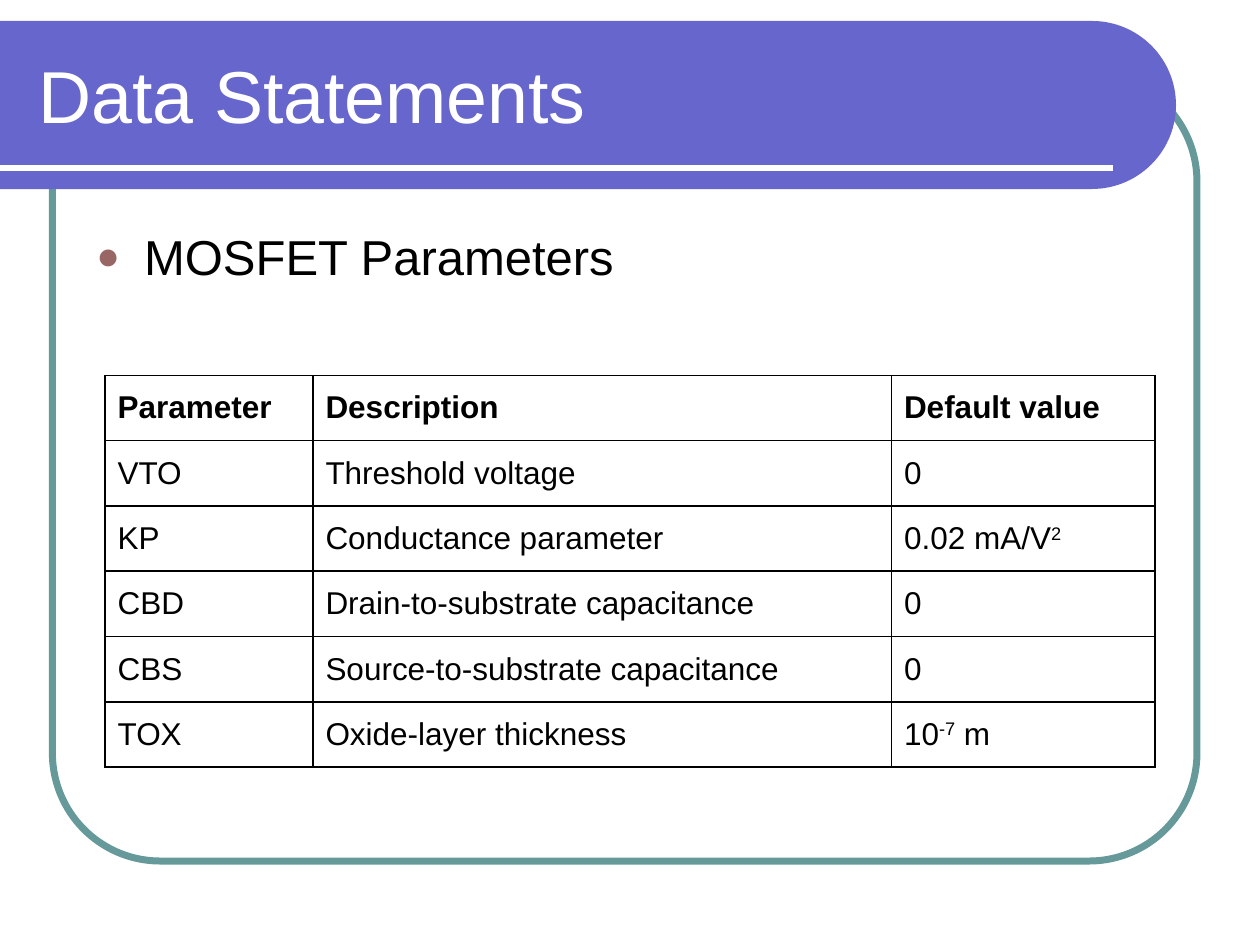
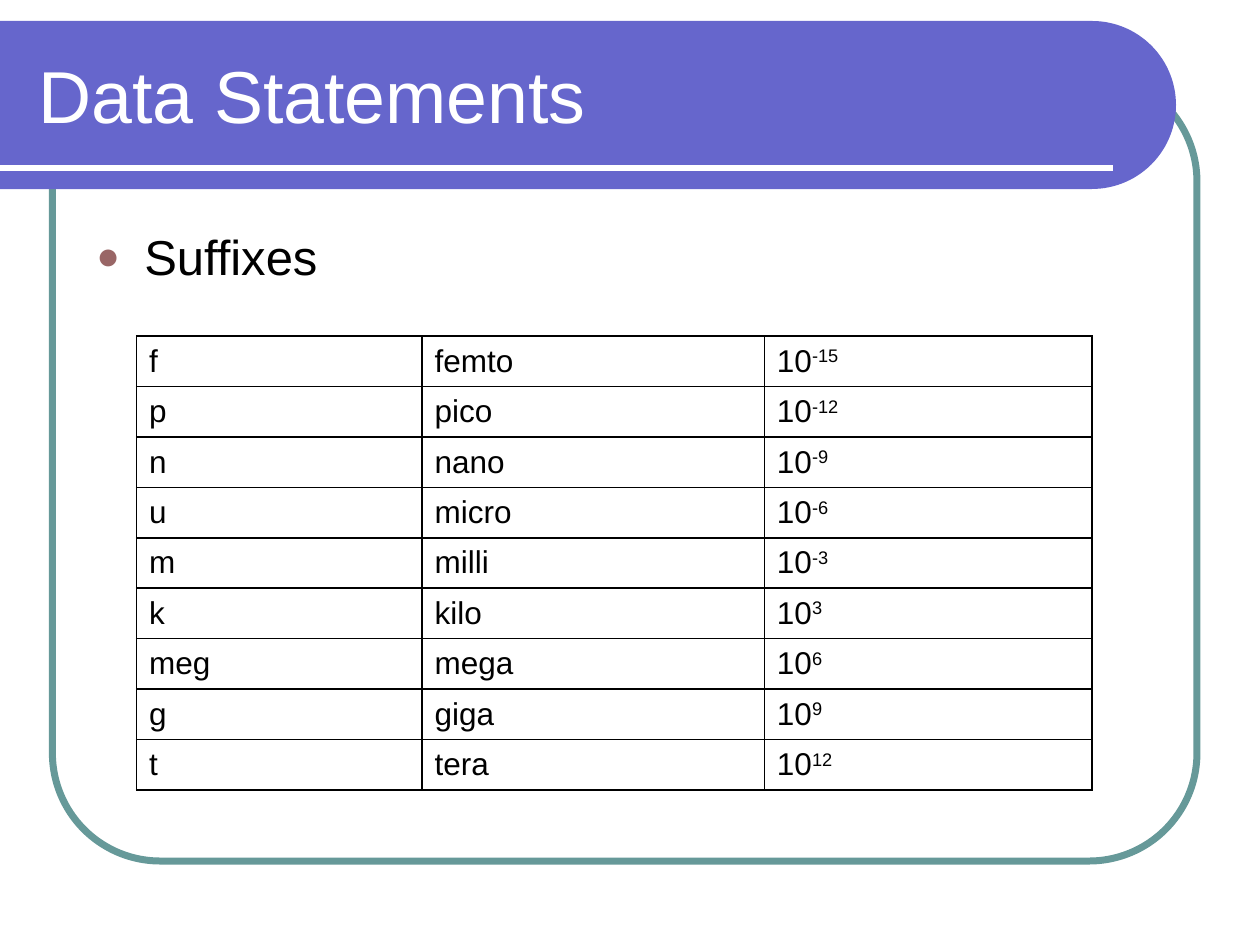
"""Build two slides of data statement tables on a shared banded frame."""
import math
from lxml import etree
from pptx import Presentation, util as u
from pptx.dml.color import RGBColor
from pptx.enum import shapes, text
from pptx.oxml import ns

INK = {"band": "6666CC", "frame": "669999", "dot": "996666",
       "white": "FFFFFF", "black": "000000"}
COLS, ROWS = 120, 90
HEAD = {"size": u.Pt(42), "name": "Arial"}
BODY = {"size": u.Pt(28), "name": "Arial"}
CELL = {"size": u.Pt(18), "name": "Arial", "bold": False}


def add(parent, tag, **attrs):
    """Append a drawing element and return it."""
    return etree.SubElement(parent, ns.qn("a:" + tag), attrs)


class Deck:
    """Hold the style and the current slide."""

    def __init__(self):
        """Open an empty deck on a 120 by 90 grid."""
        self.prs = Presentation()
        self.prs.slide_width, self.prs.slide_height = u.Inches(10), u.Inches(7.5)
        self.slide = None

    def x(self, col):
        """Turn columns into a length."""
        return u.Emu(round(self.prs.slide_width * col / COLS))

    def y(self, row):
        """Turn rows into a length."""
        return u.Emu(round(self.prs.slide_height * row / ROWS))

    def box(self, col, row, wide, high):
        """Turn a grid box into lengths."""
        return self.x(col), self.y(row), self.x(wide), self.y(high)

    def rgb(self, name):
        """Look up a colour."""
        return RGBColor.from_string(INK[name])

    def page(self, title):
        """Start a slide with frame, band, rule and title."""
        self.slide = self.prs.slides.add_slide(self.prs.slide_layouts[6])
        self.frame(5, 7, 109, 75)
        self.band(2, 104, 8)
        self.rule(106, 16)
        self.label(title, (2.5, 3, 105.25, 12), HEAD, "white",
                   text.MSO_ANCHOR.MIDDLE)

    def frame(self, *area):
        """Draw the rounded outline."""
        form = self.slide.shapes.add_shape(
            shapes.MSO_SHAPE.ROUNDED_RECTANGLE, *self.box(*area))
        form.adjustments[0] = 0.137
        form.shadow.inherit = False
        form.fill.background()
        form.line.color.rgb, form.line.width = self.rgb("frame"), u.Pt(4)

    def band(self, top, end, rad):
        """Draw the title band with its round right end."""
        turns = [math.pi * (i / 60 - 0.5) for i in range(61)]
        arc = [(self.x(end + rad * math.cos(t)),
                self.y(top + rad + rad * math.sin(t))) for t in turns]
        pen = self.slide.shapes.build_freeform(0, self.y(top))
        pen.add_line_segments(arc + [(0, self.y(top + 2 * rad))], close=True)
        form = pen.convert_to_shape()
        form.shadow.inherit = False
        form.fill.solid()
        form.fill.fore_color.rgb = self.rgb("band")
        form.line.fill.background()

    def rule(self, end, row):
        """Draw the white line on the band."""
        line = self.slide.shapes.add_connector(
            shapes.MSO_CONNECTOR.STRAIGHT, 0, self.y(row), self.x(end), self.y(row))
        line.line.color.rgb, line.line.width = self.rgb("white"), u.Pt(3)
        add(line._element.spPr, "effectLst")

    def put(self, para, words, style, ink):
        """Fill a paragraph, raising what stands between carets."""
        for i, part in enumerate(words.split("^")):
            if not part:
                continue
            run = para.add_run()
            run.text = part
            for key, val in style.items():
                setattr(run.font, key, val)
            run.font.color.rgb = self.rgb(ink)
            if i % 2:
                run._r.get_or_add_rPr().set("baseline", "30000")

    def hang(self, para):
        """Give a paragraph a hanging indent."""
        props = para._p.get_or_add_pPr()
        props.set("marL", str(u.Inches(0.38)))
        props.set("indent", str(-u.Inches(0.38)))
        return props

    def label(self, words, area, style, ink, anchor=text.MSO_ANCHOR.TOP):
        """Place a text box and return its paragraph."""
        frame = self.slide.shapes.add_textbox(*self.box(*area)).text_frame
        frame.word_wrap, frame.vertical_anchor = True, anchor
        para = frame.paragraphs[0]
        self.put(para, words, style, ink)
        return para

    def point(self, words, wide):
        """Place a bulleted heading."""
        para = self.label(words, (8, 21, wide, 58), BODY, "black")
        para.space_before = u.Pt(3)
        props = self.hang(para)
        add(add(props, "buClr"), "srgbClr", val=INK["dot"])
        add(props, "buSzPct", val="80000")
        add(props, "buFont", typeface="Arial")
        add(props, "buChar", char="●")

    def edge(self, cell):
        """Draw the four borders of a cell."""
        props = cell._tc.get_or_add_tcPr()
        for side in "LRTB":
            line = add(props, "ln" + side, w=str(u.Pt(1)))
            add(add(line, "solidFill"), "srgbClr", val=INK["black"])

    def table(self, col, row, wides, high, data, head=False):
        """Place a ruled table with equal rows."""
        area = self.box(col, row, sum(wides), high * len(data))
        grid = self.slide.shapes.add_table(len(data), len(wides), *area).table
        grid.first_row, grid.horz_banding = head, False
        for part, wide in zip(grid.columns, wides):
            part.width = self.x(wide)
        for r, line in enumerate(data):
            grid.rows[r].height = self.y(high)
            for c, words in enumerate(line):
                cell = grid.cell(r, c)
                cell.vertical_anchor = text.MSO_ANCHOR.MIDDLE
                self.edge(cell)
                cell.fill.background()
                para = cell.text_frame.paragraphs[0]
                self.hang(para)
                self.put(para, words, {**CELL, "bold": head and r == 0}, "black")


def main():
    """Build and save both slides."""
    deck = Deck()
    deck.page("Data Statements")
    deck.point("MOSFET Parameters", 103)
    deck.table(10, 35.75, (19.8, 55.1, 25.1), 6.22, [
        ("Parameter", "Description", "Default value"),
        ("VTO", "Threshold voltage", "0"),
        ("KP", "Conductance parameter", "0.02 mA/V^2^"),
        ("CBD", "Drain-to-substrate capacitance", "0"),
        ("CBS", "Source-to-substrate capacitance", "0"),
        ("TOX", "Oxide-layer thickness", "10^-7^ m"),
    ], head=True)

    deck.page("Data Statements")
    deck.point("Suffixes", 51)
    scale = [("f", "femto", -15), ("p", "pico", -12), ("n", "nano", -9),
             ("u", "micro", -6), ("m", "milli", -3), ("k", "kilo", 3),
             ("meg", "mega", 6), ("g", "giga", 9), ("t", "tera", 12)]
    deck.table(13, 32, (27.2, 32.6, 31.2), 4.65,
               [(sign, name, f"10^{power}^") for sign, name, power in scale])
    deck.prs.save("out.pptx")


if __name__ == "__main__":
    main()
